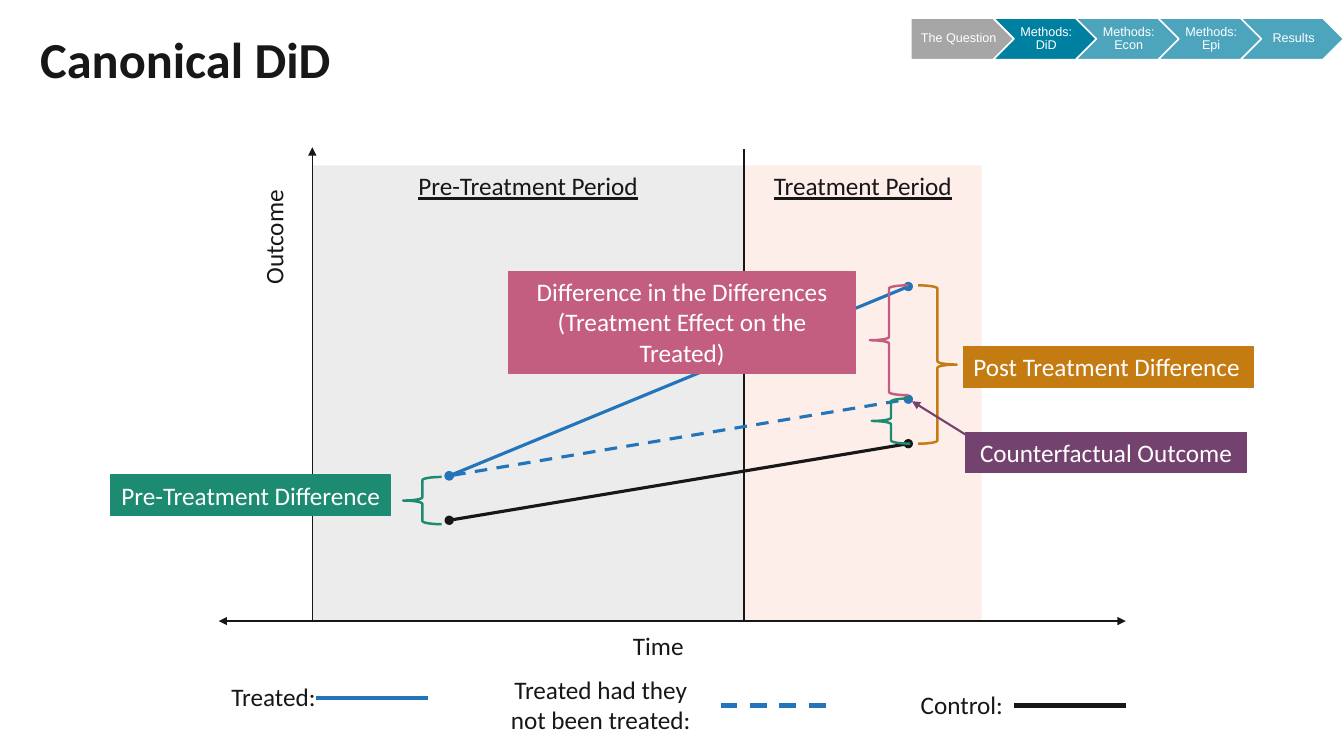
import lxml.etree
import pptx
import pptx.dml.color
import pptx.enum.dml
import pptx.enum.shapes
import pptx.enum.text
import pptx.oxml.ns
import pptx.util

Cm = pptx.util.Cm
Pt = pptx.util.Pt
qn = pptx.oxml.ns.qn
SHAPE = pptx.enum.shapes.MSO_SHAPE
ALIGN = pptx.enum.text.PP_ALIGN
ANCHOR = pptx.enum.text.MSO_ANCHOR

INK = "181717"
WHITE = "FFFFFF"
BLUE = "2474BA"
GREEN = "1D8B72"
ORANGE = "C47B11"
PURPLE = "74426F"
PINK = "C35E81"
TEAL = "0080A1"


def rgb(color):
    return pptx.dml.color.RGBColor.from_string(color)


def write(shape, text, size=18, color=INK, font="Calibri", align=ALIGN.CENTER,
          anchor=ANCHOR.TOP, wrap=True, grow=False, underline=None, bold=None, spacing=None):
    frame = shape.text_frame
    frame.text = text
    frame.word_wrap = wrap
    frame.vertical_anchor = anchor
    fit = pptx.enum.text.MSO_AUTO_SIZE
    frame.auto_size = fit.SHAPE_TO_FIT_TEXT if grow else fit.NONE
    for paragraph in frame.paragraphs:
        paragraph.alignment = align
        paragraph.line_spacing = spacing
        for run in paragraph.runs:
            run.font.name = font
            run.font.size = Pt(size)
            run.font.bold = bold
            run.font.underline = underline
            run.font.color.rgb = rgb(color)


def add_block(slide, kind, box, fill=None, opacity=100, line=None, weight=0.75):
    block = slide.shapes.add_shape(kind, *map(Cm, box))
    block.shadow.inherit = False
    if fill:
        block.fill.solid()
        block.fill.fore_color.rgb = rgb(fill)
        if opacity < 100:
            tint = block._element.spPr.find(qn("a:solidFill"))[0]
            lxml.etree.SubElement(tint, qn("a:alpha"), val=str(opacity * 1000))
    else:
        block.fill.background()
    if line:
        block.line.color.rgb = rgb(line)
        block.line.width = Pt(weight)
    else:
        block.line.fill.background()
    return block


def add_label(slide, text, box, **style):
    label = slide.shapes.add_textbox(*map(Cm, box))
    write(label, text, grow=True, **style)
    return label


def add_line(slide, start, end, color=INK, weight=1, dashed=False, head=None, tail=None):
    straight = pptx.enum.shapes.MSO_CONNECTOR.STRAIGHT
    line = slide.shapes.add_connector(straight, *map(Cm, (*start, *end)))
    line.line.color.rgb = rgb(color)
    line.line.width = Pt(weight)
    if dashed:
        line.line.dash_style = pptx.enum.dml.MSO_LINE.DASH
    properties = line._element.spPr
    outline = properties.find(qn("a:ln"))
    for tag, arrow in (("a:headEnd", head), ("a:tailEnd", tail)):
        if arrow:
            lxml.etree.SubElement(outline, qn(tag), type=arrow)
    lxml.etree.SubElement(properties, qn("a:effectLst"))


def add_heading(slide, box):
    heading = slide.shapes.title
    heading.left, heading.top, heading.width, heading.height = map(Cm, box)
    write(heading, "Canonical DiD", size=36, bold=True, align=ALIGN.LEFT,
          anchor=ANCHOR.MIDDLE, spacing=0.9)


def add_progress(slide, box):
    left, top, width, height = box
    steps = [("The Question", "A6A6A6", 100), ("Methods: DiD", TEAL, 100),
             ("Methods: Econ", TEAL, 70), ("Methods: Epi", TEAL, 70), ("Results", TEAL, 70)]
    step_width = 2.59
    pitch = (width - step_width) / (len(steps) - 1)
    for index, (name, fill, opacity) in enumerate(steps):
        kind = SHAPE.CHEVRON if index else SHAPE.PENTAGON
        step = add_block(slide, kind, (left + index * pitch, top, step_width, height),
                         fill, opacity, WHITE, 1)
        write(step, name, size=9, color=WHITE, font="Arial", anchor=ANCHOR.MIDDLE, spacing=0.9)
        frame = step.text_frame
        frame.margin_left, frame.margin_right = Cm(0.1), Cm(0.03)
        frame.margin_top = frame.margin_bottom = Cm(0.08)


def add_plot(slide, box):
    left, top, width, height = box
    treatment_start = 10.88

    def at(x, y):
        return left + x, top + y

    periods = [("Pre-Treatment Period", 0, treatment_start, "DBDBDB"),
               ("Treatment Period", treatment_start, width - treatment_start, "FCDED6")]
    for name, x, span, fill in periods:
        period = add_block(slide, SHAPE.RECTANGLE, (*at(x, 0), span, height), fill, 50)
        write(period, name, underline=True)

    add_line(slide, at(-2.36, height), at(20.5, height), head="triangle", tail="triangle")
    add_line(slide, at(0, -0.46), at(0, height), head="triangle")
    add_line(slide, at(treatment_start, -0.41), at(treatment_start, height), weight=1.5)

    before, after = 3.45, 15.02
    trends = [(7.82, 3.05, BLUE, False), (8.94, 7.01, INK, False), (7.82, 5.89, BLUE, True)]
    for first, last, color, dashed in trends:
        add_line(slide, at(before, first), at(after, last), color, 2.25, dashed, "oval", "oval")

    add_label(slide, "Time", (*at(7.82, 11.58), 1.8, 1.02), wrap=False)
    outcome = add_label(slide, "Outcome", (*at(-2.44, 1.3), 2.92, 1.02), wrap=False)
    outcome.rotation = 270


def add_differences(slide, box):
    left, top = box[:2]

    braces = [(14.1, 5.87, 1.14, GREEN, 0), (15.27, 3.02, 3.99, ORANGE, 180),
              (2.29, 7.85, 1.19, GREEN, 0), (14.05, 3.02, 2.77, PINK, 0)]
    for x, y, span, color, turn in braces:
        brace = add_block(slide, SHAPE.LEFT_BRACE, (left + x, top + y, 0.97, span),
                          line=color, weight=1.75)
        brace.rotation = turn

    callouts = [
        ("Post Treatment Difference", 16.41, 4.57, 7.32, 1.02, ORANGE, ALIGN.LEFT),
        ("Pre-Treatment Difference", -5.08, 7.8, 7.06, 1.02, GREEN, ALIGN.CENTER),
        ("Counterfactual Outcome", 16.46, 6.73, 7.09, 1.02, PURPLE, ALIGN.CENTER),
        ("Difference in the Differences\n(Treatment Effect on the Treated)",
         4.95, 2.67, 8.74, 2.57, PINK, ALIGN.CENTER),
    ]
    for text, x, y, width, height, color, align in callouts:
        callout = add_block(slide, SHAPE.RECTANGLE, (left + x, top + y, width, height),
                            color, line=color)
        write(callout, text, color=WHITE, align=align, wrap="\n" in text, grow=True)

    add_line(slide, (left + 16.51, top + 6.81), (left + 15.11, top + 5.94),
             PURPLE, 1.5, tail="triangle")


def add_legend(slide, box):
    left, top = box[:2]
    entries = [
        ("Treated:", (0.05, 0.18, 2.67, 1.02), (2.46, 0.71), BLUE, False),
        ("Treated had they not been treated:", (6.86, 0, 5.54, 1.8), (12.65, 0.91), BLUE, True),
        ("Control:", (17.42, 0.38, 2.62, 1.02), (20.04, 0.91), INK, False),
    ]
    for text, (x, y, width, height), (key_x, key_y), color, dashed in entries:
        add_label(slide, text, (left + x, top + y, width, height), wrap=dashed)
        start = left + key_x
        add_line(slide, (start, top + key_y), (start + 2.82, top + key_y), color, 3, dashed)


def main():
    deck = pptx.Presentation()
    deck.slide_width, deck.slide_height = Cm(33.87), Cm(19.05)
    slide = deck.slides.add_slide(deck.slide_layouts[5])
    plot = (7.87, 4.17, 16.87, 11.48)
    add_heading(slide, (0.76, 0.66, 31.32, 1.83))
    add_plot(slide, plot)
    add_legend(slide, (5.51, 16.87, 22.86, 1.8))
    add_progress(slide, (22.96, 0.46, 10.9, 1.04))
    add_differences(slide, plot)
    deck.save("out.pptx")


if __name__ == "__main__":
    main()
